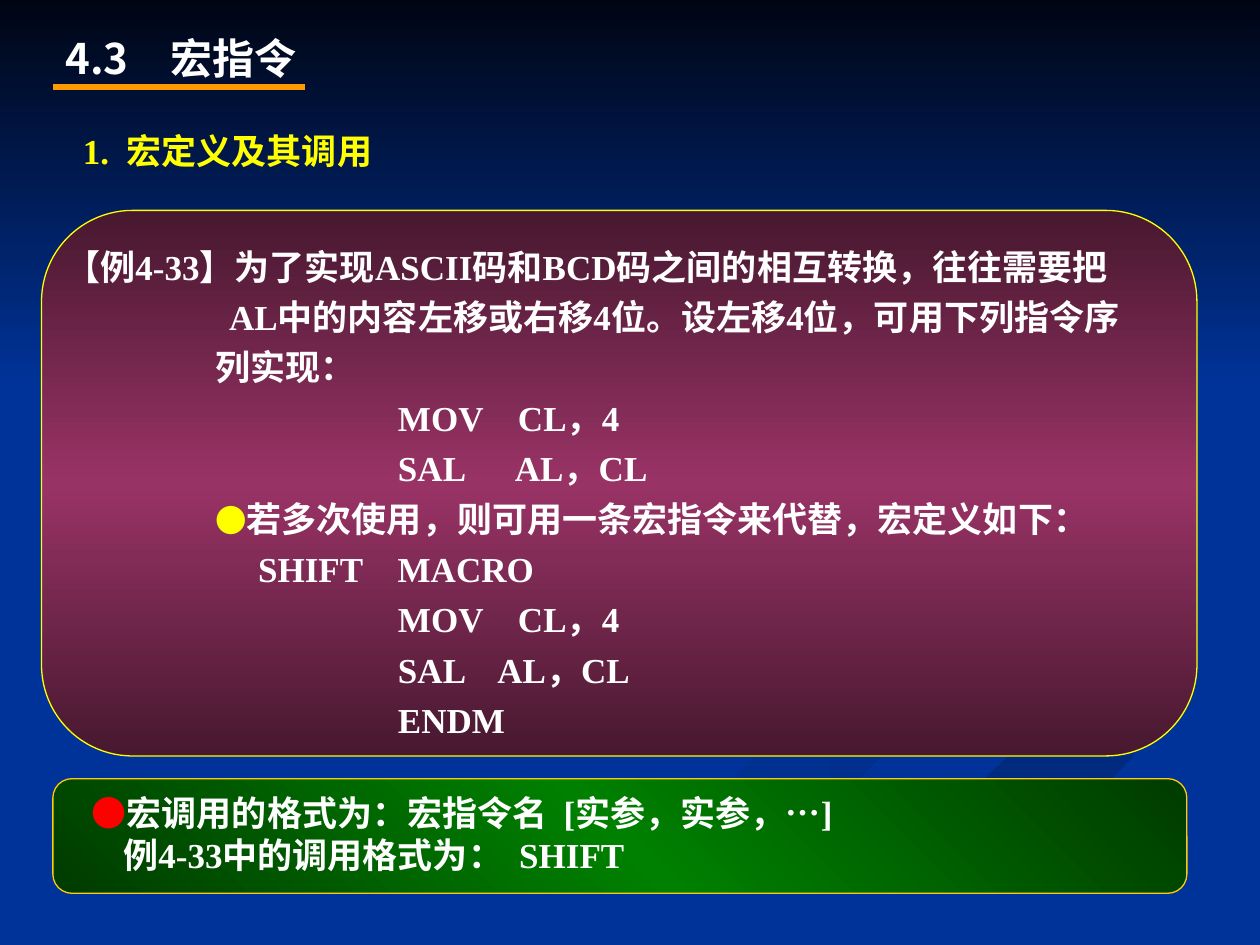
from pptx import Presentation
from pptx.dml.color import RGBColor
from pptx.enum import shapes, text
from pptx.oxml import parse_xml
from pptx.oxml.ns import nsdecls, qn
from pptx.util import Emu, Inches, Pt

WHITE = RGBColor(255, 255, 255)
YELLOW = RGBColor(255, 255, 0)
RED = RGBColor(255, 0, 0)
ORANGE = RGBColor(0xFF, 0x99, 0)
GOLD = RGBColor(0xFF, 0xCC, 0)
NAVY = RGBColor(0, 5, 0x14)
BLUE = RGBColor(0, 0x33, 0x99)
SWIRL = RGBColor(0, 0x2E, 0x8B)
SHADE = RGBColor(0, 0x2A, 0x7D)
PLUM = RGBColor(0x47, 0x18, 0x2F)
ROSE = RGBColor(0x99, 0x33, 0x66)
FOREST = RGBColor(0, 0x3B, 0)
GREEN = RGBColor(0, 0x80, 0)

SERIF = "Times New Roman"
SANS = "Noto Sans CJK SC"

TEXT_INDENT = 1.19
LABEL_INDENT = 1.53
CODE_INDENT = 2.64

EXAMPLE = [
    (0, ["【例4-33】为了实现ASCII码和BCD码之间的相互转换，往往需要把"]),
    (1.3, ["AL中的内容左移或右移4位。设左移4位，可用下列指令序"]),
    (TEXT_INDENT, ["列实现："]),
    (CODE_INDENT, ["MOV    CL，4"]),
    (CODE_INDENT, ["SAL      AL，CL"]),
    (TEXT_INDENT, [("●", YELLOW, 18), "若多次使用，则可用一条宏指令来代替，宏定义如下："]),
    (LABEL_INDENT, ["SHIFT    MACRO"]),
    (CODE_INDENT, ["MOV    CL，4"]),
    (CODE_INDENT, ["SAL    AL，CL"]),
    (CODE_INDENT, ["ENDM"]),
]
CALL = [
    (0, [("●", RED, 20), "宏调用的格式为：宏指令名  [实参，实参，…]"]),
    (0.25, ["例4-33中的调用格式为：  SHIFT"]),
]

SWOOSHES = [
    ([(7.81, 5.53), (7.45, 5.38), (6.82, 5.19), (6.26, 5.02), (5.94, 4.85), (5.76, 4.69),
      (5.75, 4.59), (5.7, 4.72), (5.86, 4.87), (6.31, 5.05), (6.97, 5.25), (7.52, 5.43),
      (7.81, 5.56), (7.86, 5.66), (7.74, 5.83), (7.39, 5.98), (6.84, 6.13), (5.79, 6.39),
      (4.99, 6.61), (4.17, 6.9), (3.38, 7.27), (3, 7.49), (3.61, 7.49), (4.31, 7.14),
      (4.99, 6.87), (5.94, 6.56), (6.76, 6.34), (7.4, 6.18), (7.86, 6.01), (8, 5.81),
      (7.92, 5.61)], (BLUE, SWIRL), 0),
    ([(9.43, 5.7), (9.3, 5.53), (9.05, 5.4), (8.5, 5.24), (7.92, 5.09), (7.45, 4.9),
      (7.27, 4.74), (7.24, 4.64), (7.3, 4.83), (7.55, 5.05), (7.97, 5.24), (8.54, 5.39),
      (9, 5.57), (9.18, 5.81), (9.07, 5.97), (8.94, 6.05), (9.25, 5.93), (9.41, 5.81)],
     (BLUE, SWIRL), 45),
    ([(5.19, 7.47), (5.03, 7.49), (5.71, 7.49), (6.14, 7.26), (6.7, 7.02), (7.52, 6.72),
      (8.61, 6.4), (9.98, 6.09), (9.98, 5.81), (9.5, 5.98), (8.67, 6.2), (7.64, 6.47),
      (6.62, 6.81), (5.69, 7.19)], (SHADE, BLUE), 90),
    ([(7.81, 4.6), (7.86, 4.74), (8.06, 4.87), (8.26, 4.96), (8.09, 4.83), (8.06, 4.68),
      (8.28, 4.53), (8.78, 4.39), (9.54, 4.26), (9.98, 4.2), (9.98, 4.02), (9.33, 4.15),
      (8.49, 4.27), (7.99, 4.42)], (SWIRL, BLUE), 45),
    ([(6.83, 4.3), (7.64, 4.17), (8.25, 4.02), (8.67, 3.84), (8.89, 3.62), (8.93, 3.35),
      (8.73, 2.99), (8.21, 2.61), (7.62, 2.33), (8.26, 2.66), (8.7, 2.99), (8.89, 3.35),
      (8.7, 3.65), (8.18, 3.86), (7.04, 4.09), (6.25, 4.26), (5.84, 4.46), (5.77, 4.62),
      (5.9, 4.84), (6.22, 5), (5.97, 4.8), (5.96, 4.61), (6.24, 4.44)], (SHADE, BLUE), 45),
]


def paint(shape, colors, angle, outline=None):
    shape.shadow.inherit = False
    last = len(colors) - 1
    stops = "".join(
        f'<a:gs pos="{i * 100000 // last}"><a:srgbClr val="{color}"/></a:gs>'
        for i, color in enumerate(colors))
    shape.fill.gradient()
    old = shape._element.spPr.find(qn("a:gradFill"))
    old.getparent().replace(old, parse_xml(
        f'<a:gradFill {nsdecls("a")}><a:gsLst>{stops}</a:gsLst>'
        f'<a:lin ang="{angle * 60000}" scaled="0"/></a:gradFill>'))
    if outline is None:
        shape.line.fill.background()
    else:
        shape.line.color.rgb = outline
        shape.line.width = Pt(0.75)


def panel(page, kind, place, colors, angle, outline=None):
    shape = page.shapes.add_shape(kind, *map(Inches, place))
    paint(shape, colors, angle, outline)


def write(box, lines, font=SERIF, size=20, color=WHITE, spacing=None, wrap=True,
          anchor=text.MSO_ANCHOR.TOP):
    frame = box.text_frame
    frame.word_wrap = wrap
    frame.auto_size = text.MSO_AUTO_SIZE.NONE
    frame.vertical_anchor = anchor
    for i, (indent, spans) in enumerate(lines):
        para = frame.add_paragraph() if i else frame.paragraphs[0]
        para.alignment = text.PP_ALIGN.LEFT
        para.line_spacing = spacing
        if indent:
            para._p.get_or_add_pPr().set("marL", str(Inches(indent)))
        for item in spans:
            words, tint, points = (item, color, size) if isinstance(item, str) else item
            span = para.add_run()
            span.text = words
            span.font.name = font
            span.font.size = Pt(points)
            span.font.bold = True
            span.font.color.rgb = tint
            span._r.get_or_add_rPr().find(qn("a:latin")).addnext(
                parse_xml(f'<a:ea {nsdecls("a")} typeface="{SANS}"/>'))


def label(page, place, lines, **style):
    write(page.shapes.add_textbox(*map(Inches, place)), lines, **style)


def main():
    deck = Presentation()
    deck.slide_width, deck.slide_height = Inches(10), Inches(7.5)
    page = deck.slides.add_slide(deck.slide_layouts[5])
    page.background.fill.solid()
    page.background.fill.fore_color.rgb = BLUE

    for points, colors, angle in SWOOSHES:
        outline = page.shapes.build_freeform(*points[0], scale=Inches(1))
        outline.add_line_segments(points[1:], close=True)
        paint(outline.convert_to_shape(), colors, angle)
    panel(page, shapes.MSO_SHAPE.RECTANGLE, (0, 0, 10, 3.08), (NAVY, BLUE), 90)

    title = page.shapes.title
    title.left, title.top, title.width, title.height = map(Inches, (1.25, 0.17, 1.42, 0.58))
    write(title, [(0, ["宏指令"])], font=SANS, size=24, anchor=text.MSO_ANCHOR.MIDDLE)
    page.shapes._spTree.append(title._element)
    label(page, (0.42, 0.21, 0.83, 0.5), [(0, ["4.3"])], font=SANS, size=24)

    rule = page.shapes.add_connector(
        shapes.MSO_CONNECTOR.STRAIGHT, *map(Inches, (0.42, 0.69, 2.42, 0.69)))
    rule.line.color.rgb = ORANGE
    rule.line.width = Pt(3)
    rule._element.spPr.append(parse_xml(f'<a:effectLst {nsdecls("a")}/>'))

    rounded = shapes.MSO_SHAPE.ROUNDED_RECTANGLE
    panel(page, rounded, (0.33, 1.67, 9.17, 4.33), (PLUM, ROSE, PLUM), 90, YELLOW)
    label(page, (0.42, 1.83, 9.08, 4.1), EXAMPLE, spacing=1.2)
    label(page, (0.56, 0.98, 2.56, 0.44), [(0, ["1.  宏定义及其调用"])],
          color=YELLOW, wrap=False)
    panel(page, rounded, (0.42, 6.18, 9, 0.91), (FOREST, GREEN, FOREST), 315, GOLD)
    label(page, (0.63, 6.23, 8.58, 0.77), CALL)
    deck.save("out.pptx")


if __name__ == "__main__":
    main()
